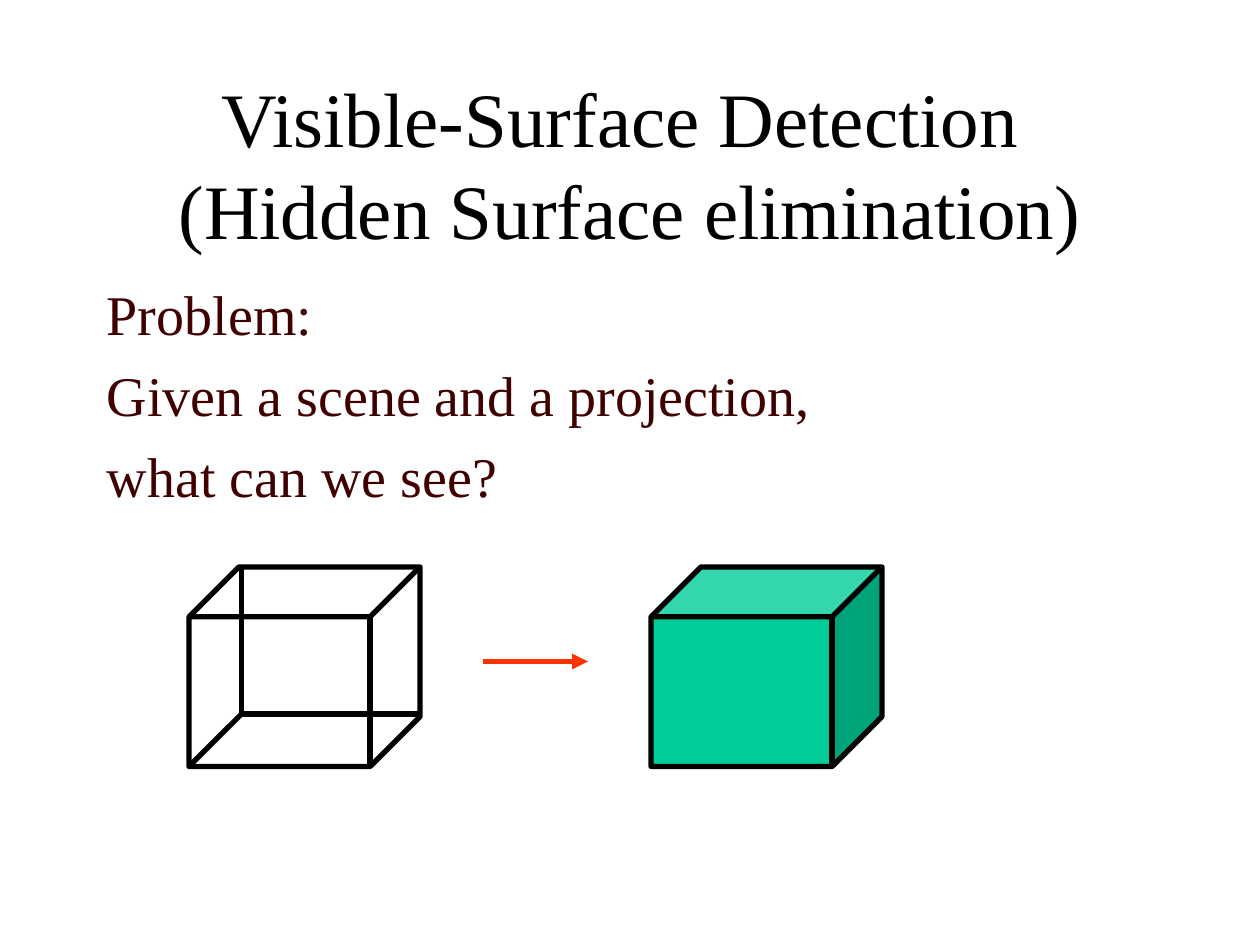
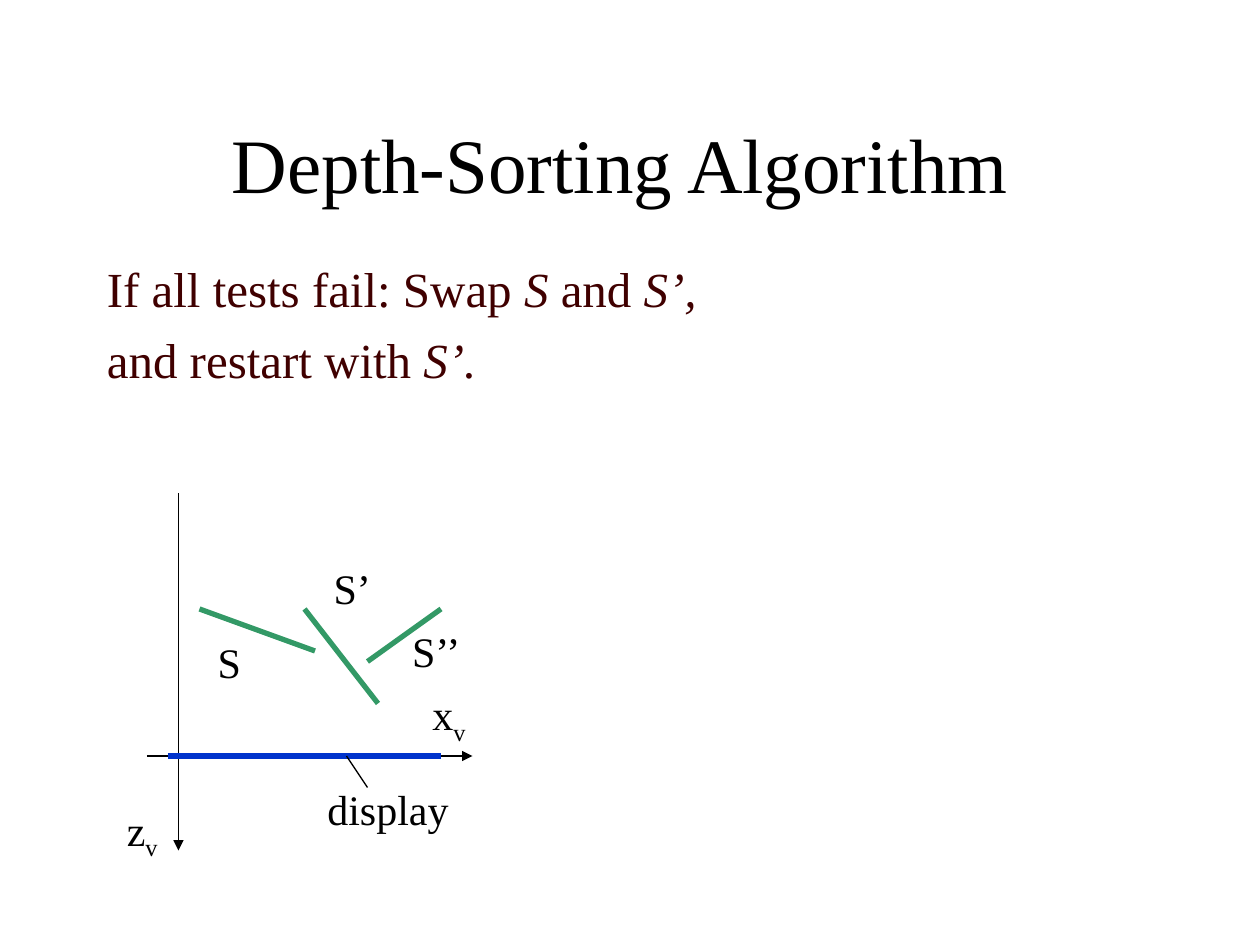
import pptx
import pptx.dml.color
import pptx.enum.shapes
import pptx.enum.text
import pptx.oxml
import pptx.oxml.ns
import pptx.util

FONT = "Times New Roman"
BLACK, MAROON, GREEN = "000000", "400000", "339966"
TEAL, BLUE, RED = "00CC99", "0033CC", "FF3300"
TITLE_SIZE, LABEL_SIZE = 44, 24
THICK, THIN, HAIR = 3, 1, 0.75
CUBE_WIDTH, CUBE_HEIGHT, CUBE_DEPTH = 22, 19, 5
LABEL_HEIGHT = 6


def grid(cells):
    """Length of a number of grid cells, twelve to the inch."""
    return pptx.util.Inches(cells / 12)


def colour(value):
    return pptx.dml.color.RGBColor.from_string(value)


def add_box(page, left, top, width, height, wrap=True):
    box = page.shapes.add_textbox(*map(grid, (left, top, width, height)))
    box.text_frame.word_wrap = wrap
    return box.text_frame


def add_span(para, text, size, ink, italic=False, subscript=False):
    span = para.add_run()
    span.text = text
    span.font.name = FONT
    span.font.size = pptx.util.Pt(size)
    span.font.italic = italic
    span.font.color.rgb = colour(ink)
    if subscript:
        span._r.get_or_add_rPr().set("baseline", "-25000")


def add_title(page, *lines):
    frame = add_box(page, 9, 8, 102, 15)
    frame.vertical_anchor = pptx.enum.text.MSO_ANCHOR.MIDDLE
    para = frame.paragraphs[0]
    para.alignment = pptx.enum.text.PP_ALIGN.CENTER
    for number, line in enumerate(lines):
        if number:
            para.add_line_break()
        add_span(para, line, TITLE_SIZE, BLACK)


def add_body(page, area, size, paragraphs):
    """Each paragraph is a list of spans that alternate upright and italic."""
    frame = add_box(page, *area)
    for number, spans in enumerate(paragraphs):
        para = frame.add_paragraph() if number else frame.paragraphs[0]
        if number:
            para.space_before = pptx.util.Pt(size / 4)
        for position, text in enumerate(spans):
            add_span(para, text, size, MAROON, italic=position % 2 == 1)


def add_label(page, centre, top, width, text, subscript=""):
    """Put a one-line label around a centre column, in a box with room to spare."""
    frame = add_box(page, centre - width / 2, top, width, LABEL_HEIGHT, wrap=False)
    frame.auto_size = pptx.enum.text.MSO_AUTO_SIZE.SHAPE_TO_FIT_TEXT
    para = frame.paragraphs[0]
    para.alignment = pptx.enum.text.PP_ALIGN.CENTER
    add_span(para, text, LABEL_SIZE, BLACK)
    if subscript:
        add_span(para, subscript, LABEL_SIZE, BLACK, subscript=True)


def add_line(page, start, end, ink, weight, arrow=False):
    line = page.shapes.add_connector(
        pptx.enum.shapes.MSO_CONNECTOR.STRAIGHT, *map(grid, (*start, *end)))
    line.line.color.rgb = colour(ink)
    line.line.width = pptx.util.Pt(weight)
    if arrow:
        head = pptx.oxml.parse_xml(
            f'<a:tailEnd {pptx.oxml.ns.nsdecls("a")} type="triangle"/>')
        line.line._get_or_add_ln().append(head)
    line._element.spPr.append(
        pptx.oxml.parse_xml(f'<a:effectLst {pptx.oxml.ns.nsdecls("a")}/>'))


def add_cube(page, left, top, fill=None):
    cube = page.shapes.add_shape(
        pptx.enum.shapes.MSO_SHAPE.CUBE,
        *map(grid, (left, top, CUBE_WIDTH, CUBE_HEIGHT)))
    cube.shadow.inherit = False
    cube.line.color.rgb = colour(BLACK)
    cube.line.width = pptx.util.Pt(THICK)
    if fill:
        cube.fill.solid()
        cube.fill.fore_color.rgb = colour(fill)
    else:
        cube.fill.background()


def add_hidden_edges(page, left, top):
    """Draw the three edges that meet at the far lower corner of a cube."""
    right, bottom = left + CUBE_WIDTH, top + CUBE_HEIGHT
    corner = (left + CUBE_DEPTH, bottom - CUBE_DEPTH)
    for start in ((corner[0], top), (right, corner[1]), (left, bottom)):
        add_line(page, start, corner, BLACK, THICK)


def build_problem(page):
    add_title(page, "Visible-Surface Detection ", "(Hidden Surface elimination)")
    add_body(page, (9, 26, 102, 54), 32, [
        ["Problem:"],
        ["Given a scene and a projection,"],
        ["what can we see?"],
    ])
    add_cube(page, 18, 54)
    add_cube(page, 62, 54, TEAL)
    add_hidden_edges(page, 18, 54)
    add_line(page, (46, 63), (56, 63), RED, THICK, arrow=True)


def build_depth_sorting(page):
    add_title(page, "Depth-Sorting Algorithm ")
    add_line(page, (14, 72), (45, 72), BLACK, THIN, arrow=True)
    add_line(page, (17, 47), (17, 81), BLACK, THIN, arrow=True)
    surfaces = [((29, 58), (36, 67)), ((19, 58), (30, 62)), ((42, 58), (35, 63))]
    for start, end in surfaces:
        add_line(page, start, end, GREEN, THICK)
    add_line(page, (16, 72), (42, 72), BLUE, THICK)
    add_line(page, (33, 72), (35, 75), BLACK, HAIR)
    add_body(page, (9, 24, 87, 16), 28, [
        ["If all tests fail: Swap ", "S ", "and ", "S’,"],
        ["and restart with ", "S’."],
    ])
    add_label(page, 42.75, 65, 6.5, "x", "v")
    add_label(page, 13.55, 76, 6.5, "z", "v")
    add_label(page, 36.95, 74, 15, "display")
    add_label(page, 33.55, 53, 7, "S’")
    add_label(page, 21.85, 60, 5.5, "S")
    add_label(page, 41.55, 59, 8.5, "S’’")


def main():
    deck = pptx.Presentation()
    deck.slide_width, deck.slide_height = grid(120), grid(90)
    for build in (build_problem, build_depth_sorting):
        build(deck.slides.add_slide(deck.slide_layouts[6]))
    deck.save("out.pptx")


if __name__ == "__main__":
    main()
